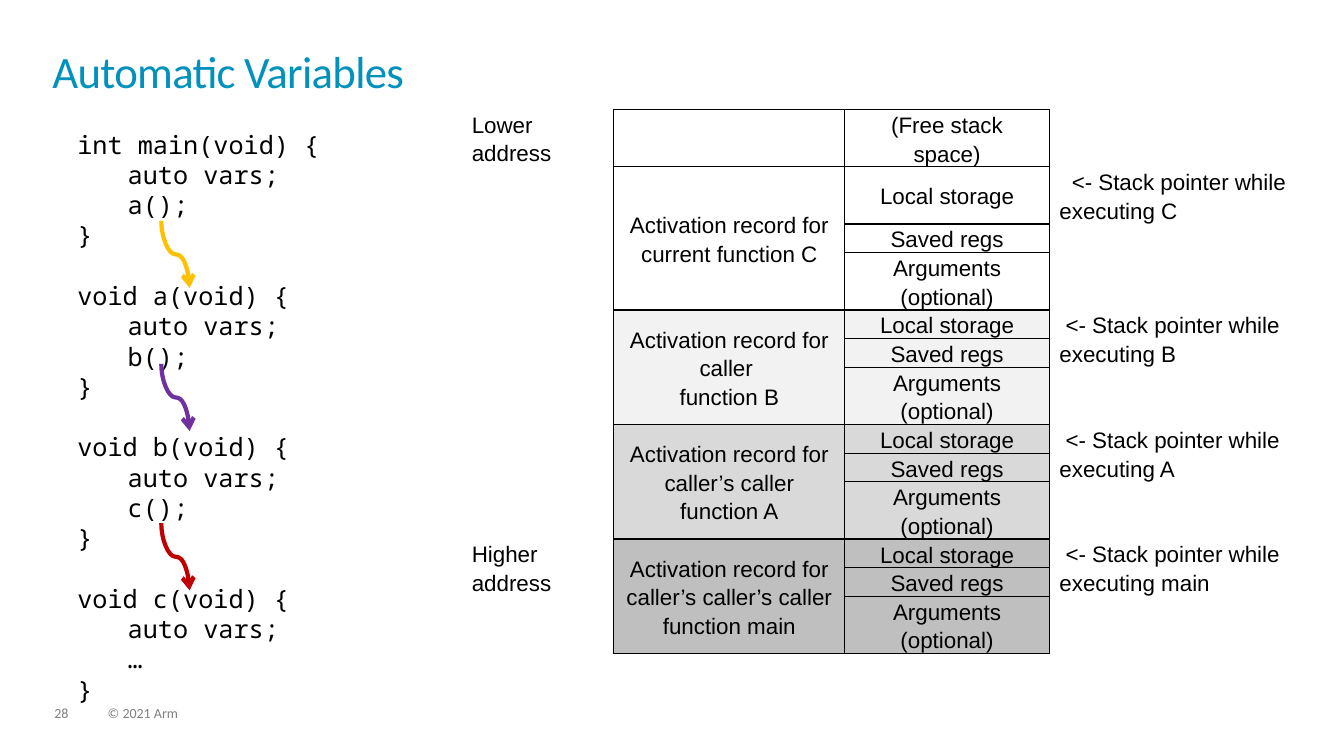
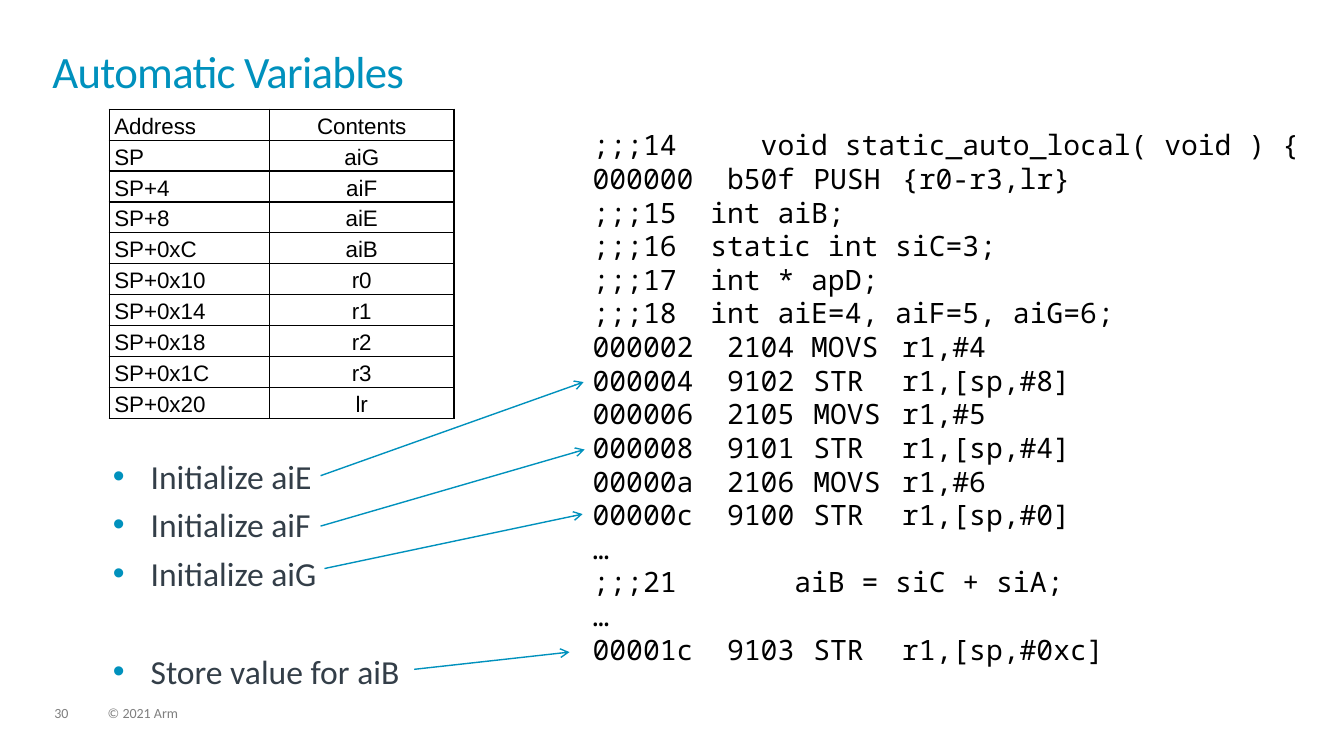
from dataclasses import dataclass
from typing import NamedTuple

from lxml.etree import SubElement as Sub
from pptx import Presentation
from pptx.dml.color import RGBColor
from pptx.enum.shapes import MSO_CONNECTOR as Conn
from pptx.enum.text import MSO_ANCHOR as Anchor, MSO_AUTO_SIZE as Auto, PP_ALIGN as Align
from pptx.oxml.ns import qn
from pptx.util import Pt

TEAL, SLATE, GREY, BLACK = "0091BD", "333E48", "7F7F7F", "000000"
PLAIN = "{2D5ABB26-0587-4C30-8999-92F81FD0307C}"  # table style without grid


class Look(NamedTuple):
    font: str
    size: float
    color: str


class Box(NamedTuple):
    left: float
    top: float
    width: float
    height: float


@dataclass
class Line:
    text: str
    gap: float = 0  # space before
    tabs: tuple[float, ...] = ()
    bullet: bool = False
    first: float = 0  # first-line indent
    pitch: float | None = None  # line spacing
    align: Align = Align.LEFT


@dataclass
class Cell:
    row: int
    col: int
    text: str
    rows: int = 1
    first: float = 0


class Arrow(NamedTuple):
    x1: float
    y1: float
    x2: float
    y2: float


HEAD = Look("Calibri", 32, TEAL)
FOOT = Look("Calibri", 10, GREY)
BODY = Look("Calibri", 24, SLATE)
GRID = Look("Arial", 16, BLACK)
MONO = "Noto Sans Mono"


def paint(code: str) -> RGBColor:
    return RGBColor.from_string(code)


def write(para, line: Line, look: Look) -> None:
    """Fill one paragraph and format it."""
    para.text = line.text
    para.alignment = line.align
    props = para._p.get_or_add_pPr()
    if line.gap:
        para.space_before = Pt(line.gap)
    if line.pitch:
        para.line_spacing = line.pitch
    if line.first:
        props.set("indent", str(Pt(line.first)))
    if line.bullet:
        props.set("marL", str(Pt(27)))
        props.set("indent", str(Pt(-27)))
        Sub(Sub(props, qn("a:buClr")), qn("a:srgbClr"), val=TEAL)
        Sub(props, qn("a:buFont"), typeface="Arial")
        Sub(props, qn("a:buChar"), char="•")
    if line.tabs:
        stops = Sub(props, qn("a:tabLst"))
        for stop in line.tabs:
            Sub(stops, qn("a:tab"), pos=str(Pt(stop)), algn="l")
    font = para.font
    font.name, font.size = look.font, Pt(look.size)
    font.color.rgb = paint(look.color)


def fill(frame, lines: list[Line], look: Look, inset: bool = False) -> None:
    """Put lines into a text frame, with or without the usual margins."""
    frame.word_wrap = True
    frame.auto_size = Auto.NONE
    frame.vertical_anchor = Anchor.TOP
    side, edge = (7.2, 3.6) if inset else (0, 0)
    frame.margin_left = frame.margin_right = Pt(side)
    frame.margin_top = frame.margin_bottom = Pt(edge)
    for i, line in enumerate(lines):
        write(frame.add_paragraph() if i else frame.paragraphs[0], line, look)


def add_text(slide, box: Box, lines: list[Line], look: Look, inset: bool = False) -> None:
    shape = slide.shapes.add_textbox(*map(Pt, box))
    fill(shape.text_frame, lines, look, inset)


def add_base(deck, page: int):
    """New slide with title and footer."""
    slide = deck.slides.add_slide(deck.slide_layouts[5])
    title = slide.shapes.title
    title.left, title.top, title.width, title.height = map(Pt, (37.4, 37.4, 884, 51.8))
    fill(title.text_frame, [Line("Automatic Variables", pitch=0.85)], HEAD)
    para = title.text_frame.paragraphs[0]
    para._p.pPr.find(qn("a:defRPr")).set("spc", "-50")
    for left, width, text in ((38.9, 24.5, str(page)), (77, 365, "© 2021 Arm")):
        add_text(slide, Box(left, 504.7, width, 10.8), [Line(text, pitch=0.9)], FOOT)
    return slide


def add_arrow(slide, arrow: Arrow, color: str, width: float, kind=Conn.STRAIGHT):
    conn = slide.shapes.add_connector(kind, *map(Pt, arrow))
    conn.line.color.rgb = paint(color)
    conn.line.width = Pt(width)
    Sub(conn.line._get_or_add_ln(), qn("a:tailEnd"), type="arrow")
    Sub(conn._element.spPr, qn("a:effectLst"))
    return conn


def add_curve(slide, top: float, color: str) -> None:
    """Curved call arrow: a flat connector turned upright."""
    wide, high, mid = 48, 20.2, 125.3
    left, y = mid - wide / 2, top + (wide - high) / 2
    conn = add_arrow(slide, Arrow(left + wide, y, left, y + high), color, 3, Conn.CURVE)
    conn._element.spPr.find(qn("a:xfrm")).set("rot", str(270 * 60000))


def add_grid(slide, left: float, top: float, cols: list[float], rows: list[float]):
    frame = slide.shapes.add_table(
        len(rows), len(cols), Pt(left), Pt(top), Pt(sum(cols)), Pt(sum(rows)))
    table = frame.table
    table.first_row = table.horz_banding = False
    table._tbl.tblPr.find(qn("a:tableStyleId")).text = PLAIN
    for col, width in zip(table.columns, cols):
        col.width = Pt(width)
    for row, height in zip(table.rows, rows):
        row.height = Pt(height)
    return table


def set_cell(cell, line: Line, side: float, edges: str, color: str = "",
             anchor=Anchor.MIDDLE) -> None:
    """Text, margins, borders and fill of one table cell."""
    cell.margin_left = cell.margin_right = Pt(side)
    cell.margin_top = cell.margin_bottom = 0
    cell.vertical_anchor = anchor
    write(cell.text_frame.paragraphs[0], line, GRID)
    props = cell._tc.get_or_add_tcPr()
    for edge in edges:
        rule = Sub(props, qn(f"a:ln{edge}"), w=str(Pt(1)))
        Sub(Sub(rule, qn("a:solidFill")), qn("a:srgbClr"), val=BLACK)
    if color:
        cell.fill.solid()
        cell.fill.fore_color.rgb = paint(color)
    else:
        cell.fill.background()


# Call chain and stack layout
OWNERS = [
    ("current function C", "C", ""),
    ("caller \vfunction B", "B", "F2F2F2"),
    ("caller’s caller function A", "A", "D9D9D9"),
    ("caller’s caller’s caller function main", "main", "BFBFBF"),
]
PARTS = ["Local storage", "Saved regs", "Arguments (optional)"]
CALLS = [
    ("int main(void) {", "a();"),
    ("void a(void) {", "b();"),
    ("void b(void) {", "c();"),
    ("void c(void) {", "…"),
]
CURVES = [(157.7, "FFC000"), (259.9, "7030A0"), (373.7, "C00000")]


def add_stack(slide) -> None:
    one, two = 20.4, 40.9
    rows = [two, two, one, two] + [one, one, two] * 3
    table = add_grid(slide, 329.8, 78.2, [108.7, 164.9, 146.2, 196.6], rows)
    cells = [Cell(0, 0, "Lower address"), Cell(0, 2, "(Free stack space)"),
             Cell(10, 0, "Higher address", 3)]
    shade = [""]
    for i, (owner, name, color) in enumerate(OWNERS):
        top = 1 + 3 * i
        shade += [color] * 3
        cells.append(Cell(top, 1, f"Activation record for {owner}", 3))
        cells += [Cell(top + j, 2, part) for j, part in enumerate(PARTS)]
        note = f"<- Stack pointer while executing {name}"
        cells.append(Cell(top, 3, note, 3 if i else 1, 4.4 if i else 8.8))
    for row in (4, 7):
        cells.append(Cell(row, 0, "", 3))
    found = {(c.row, c.col): c for c in cells}
    for row in range(len(rows)):
        for col, edges in enumerate(("R", "LRTB", "LRTB", "L")):
            item = found.get((row, col), Cell(row, col, ""))
            mid = col in (1, 2)
            line = Line(item.text, first=item.first, pitch=1.15,
                        align=Align.CENTER if mid else Align.LEFT)
            set_cell(table.cell(row, col), line, 7.2, edges,
                     shade[row] if mid else "", Anchor.MIDDLE if mid else Anchor.TOP)
    for item in cells:
        if item.rows > 1:
            last = table.cell(item.row + item.rows - 1, item.col)
            table.cell(item.row, item.col).merge(last)


def draw_stack(deck) -> None:
    slide = add_base(deck, 28)
    add_stack(slide)
    code = []
    for i, (head, call) in enumerate(CALLS):
        code.append(Line(head, gap=21.7 if i else 0))
        code += [Line(text, tabs=(36,)) for text in ("\tauto vars;", f"\t{call}", "}")]
    add_text(slide, Box(48.2, 88.6, 222, 422), code, Look(MONO, 18, BLACK), inset=True)
    for top, color in CURVES:
        add_curve(slide, top, color)


# Stack frame contents and listing
SLOTS = [
    ("Address", "Contents"), ("SP", "aiG"), ("SP+4", "aiF"), ("SP+8", "aiE"),
    ("SP+0xC", "aiB"), ("SP+0x10", "r0"), ("SP+0x14", "r1"), ("SP+0x18", "r2"),
    ("SP+0x1C", "r3"), ("SP+0x20", "lr"),
]
LISTING = [
    ";;;14     void static_auto_local( void ) {",
    "000000  b50f\tPUSH\t{r0-r3,lr}",
    ";;;15  int aiB;",
    ";;;16  static int siC=3;",
    ";;;17  int * apD;",
    ";;;18  int aiE=4, aiF=5, aiG=6;",
    "000002  2104 MOVS\tr1,#4",
    "000004  9102\tSTR\tr1,[sp,#8]",
    "000006  2105\tMOVS\tr1,#5",
    "000008  9101\tSTR\tr1,[sp,#4]",
    "00000a  2106\tMOVS\tr1,#6",
    "00000c  9100 \tSTR\tr1,[sp,#0]",
    "…",
    ";;;21       aiB = siC + siA;",
    "…",
    "00001c  9103\tSTR\tr1,[sp,#0xc]",
]
STEPS = [("Initialize aiE", 0), ("Initialize aiF", 6), ("Initialize aiG", 6),
         ("Store value for aiB", 40.8)]
LINKS = [
    Arrow(229, 339.8, 416.9, 272.9),
    Arrow(229, 375.8, 417.6, 321.1),
    Arrow(231.8, 406.1, 416.2, 367.2),
    Arrow(295.9, 478.1, 406.8, 465.8),
]


def draw_frame(deck) -> None:
    slide = add_base(deck, 30)
    steps = [Line(text, gap, bullet=True) for text, gap in STEPS]
    add_text(slide, Box(80.6, 325.4, 269.3, 161.3), steps, BODY)
    code = [Line(text, tabs=(157.7, 221)) for text in LISTING]
    add_text(slide, Box(416.2, 87.8, 523.4, 395.3), code, Look(MONO, 20, BLACK), inset=True)
    table = add_grid(slide, 78, 78, [114.5, 131.8], [22.1] * len(SLOTS))
    for row, slot in enumerate(SLOTS):
        for col, align in enumerate((Align.LEFT, Align.CENTER)):
            line = Line(slot[col], pitch=1.15, align=align)
            set_cell(table.cell(row, col), line, 3.6, "LRTB")
    for link in LINKS:
        add_arrow(slide, link, TEAL, 1)


def main() -> None:
    deck = Presentation()
    deck.slide_width, deck.slide_height = Pt(960), Pt(540)
    draw_stack(deck)
    draw_frame(deck)
    deck.save("out.pptx")


if __name__ == "__main__":
    main()
